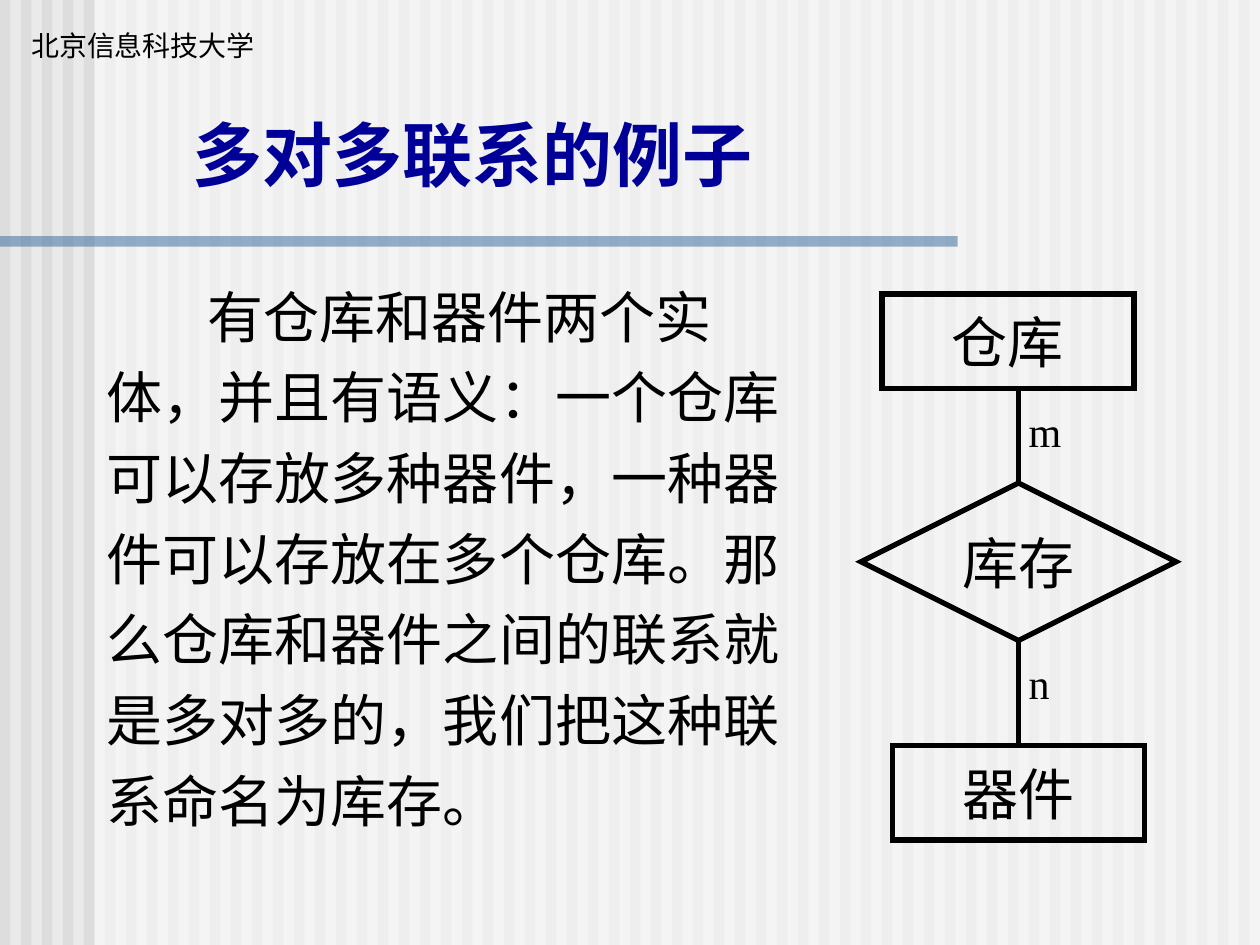
from lxml.etree import SubElement
from pptx import Presentation
from pptx.dml.color import RGBColor
from pptx.enum.shapes import MSO_CONNECTOR, MSO_SHAPE
from pptx.enum.text import MSO_ANCHOR, MSO_AUTO_SIZE, PP_ALIGN
from pptx.oxml.ns import qn
from pptx.util import Inches, Pt

COLUMNS, ROWS = 120, 90  # grid of twelfths of an inch
SERIF = "Times New Roman"
BLACK = "000000"


def grid(*cells):
    return [Inches(cell / 12) for cell in cells]


def paint(color_format, hex_color):
    color_format.rgb = RGBColor.from_string(hex_color)


def add_band(slide, box, color, opacity=100):
    band = slide.shapes.add_shape(MSO_SHAPE.RECTANGLE, *grid(*box))
    band.shadow.inherit = False
    band.line.fill.background()
    band.fill.solid()
    paint(band.fill.fore_color, color)
    if opacity < 100:
        srgb = band.fill._xPr.find(qn("a:solidFill"))[0]
        SubElement(srgb, qn("a:alpha"), val=str(opacity * 1000))


def write(shape, text, size, color=BLACK, font=SERIF, bold=False, wrap=False):
    frame = shape.text_frame
    frame.word_wrap = wrap
    frame.text = text
    paragraph = frame.paragraphs[0]
    run_font = paragraph.runs[0].font
    run_font.size, run_font.name, run_font.bold = Pt(size), font, bold
    paint(run_font.color, color)
    return paragraph


def add_text(slide, box, text, size, **style):
    label = slide.shapes.add_textbox(*grid(*box))
    paragraph = write(label, text, size, **style)
    label.text_frame.auto_size = MSO_AUTO_SIZE.SHAPE_TO_FIT_TEXT
    return paragraph


def draw_outline(line):
    """Black line with sharp corners."""
    line.width = Pt(3)
    paint(line.color, BLACK)
    SubElement(line._get_or_add_ln(), qn("a:miter"), lim="800000")


def draw_backdrop(slide):
    slide.background.fill.solid()
    paint(slide.background.fill.fore_color, "EAEAEA")
    for column in range(0, COLUMNS, 2):
        add_band(slide, (column, 0, 1, ROWS), "DDDDDD")
    add_band(slide, (9, 0, COLUMNS - 9, ROWS), "FFFFFF", opacity=50)


def draw_heading(slide):
    add_band(slide, (0, 22.5, 91.2, 1), "336699", opacity=50)
    add_text(slide, (1.8, 2.1, 24.2, 4.4), "北京信息科技大学", 16,
             font="DejaVu Sans")
    add_text(slide, (17.2, 10, 55.7, 9.2), "多对多联系的例子", 40,
             color="000099", bold=True)


def draw_explanation(slide, box):
    paragraph = add_text(
        slide, box,
        "有仓库和器件两个实体，并且有语义：一个仓库可以存放多种器件，"
        "一种器件可以存放在多个仓库。那么仓库和器件之间的联系就是多对多的，"
        "我们把这种联系命名为库存。", 32, wrap=True)
    paragraph.line_spacing = 1.2
    properties = paragraph._p.get_or_add_pPr()
    properties.set("indent", str(Inches(0.8)))
    properties.set("hangingPunct", "0")


def add_node(slide, kind, box, text):
    node = slide.shapes.add_shape(kind, *grid(*box))
    node.shadow.inherit = False
    node.fill.background()
    draw_outline(node.line)
    paragraph = write(node, text, 32)
    paragraph.alignment = PP_ALIGN.CENTER
    node.text_frame.vertical_anchor = MSO_ANCHOR.MIDDLE


def add_link(slide, x, top, bottom, cardinality):
    link = slide.shapes.add_connector(
        MSO_CONNECTOR.STRAIGHT, *grid(x, top, x, bottom))
    draw_outline(link.line)
    SubElement(link._element.spPr, qn("a:effectLst"))
    add_text(slide, (x - 0.2, top + 1, 5, 6), cardinality, 24)


def draw_er_diagram(slide, box):
    """Entity, relationship and entity, stacked from top to bottom."""
    left, top, width, height = box
    middle = left + width / 2
    entity_width, entity_height = 24, 9
    diamond_top, diamond_height = top + 18, 15
    lower_top = top + height - entity_height
    add_node(slide, MSO_SHAPE.RECTANGLE,
             (left + 2, top, entity_width, entity_height), "仓库")
    add_node(slide, MSO_SHAPE.RECTANGLE,
             (left + 3, lower_top, entity_width, entity_height), "器件")
    add_node(slide, MSO_SHAPE.FLOWCHART_DECISION,
             (left, diamond_top, width, diamond_height), "库存")
    add_link(slide, middle, top + entity_height, diamond_top, "m")
    add_link(slide, middle, diamond_top + diamond_height, lower_top, "n")


def main():
    deck = Presentation()
    deck.slide_width, deck.slide_height = grid(COLUMNS, ROWS)
    slide = deck.slides.add_slide(deck.slide_layouts[6])
    draw_backdrop(slide)
    draw_heading(slide)
    draw_explanation(slide, (9, 25, 67, 55))
    draw_er_diagram(slide, (82, 28, 30, 52))
    deck.save("out.pptx")


if __name__ == "__main__":
    main()
